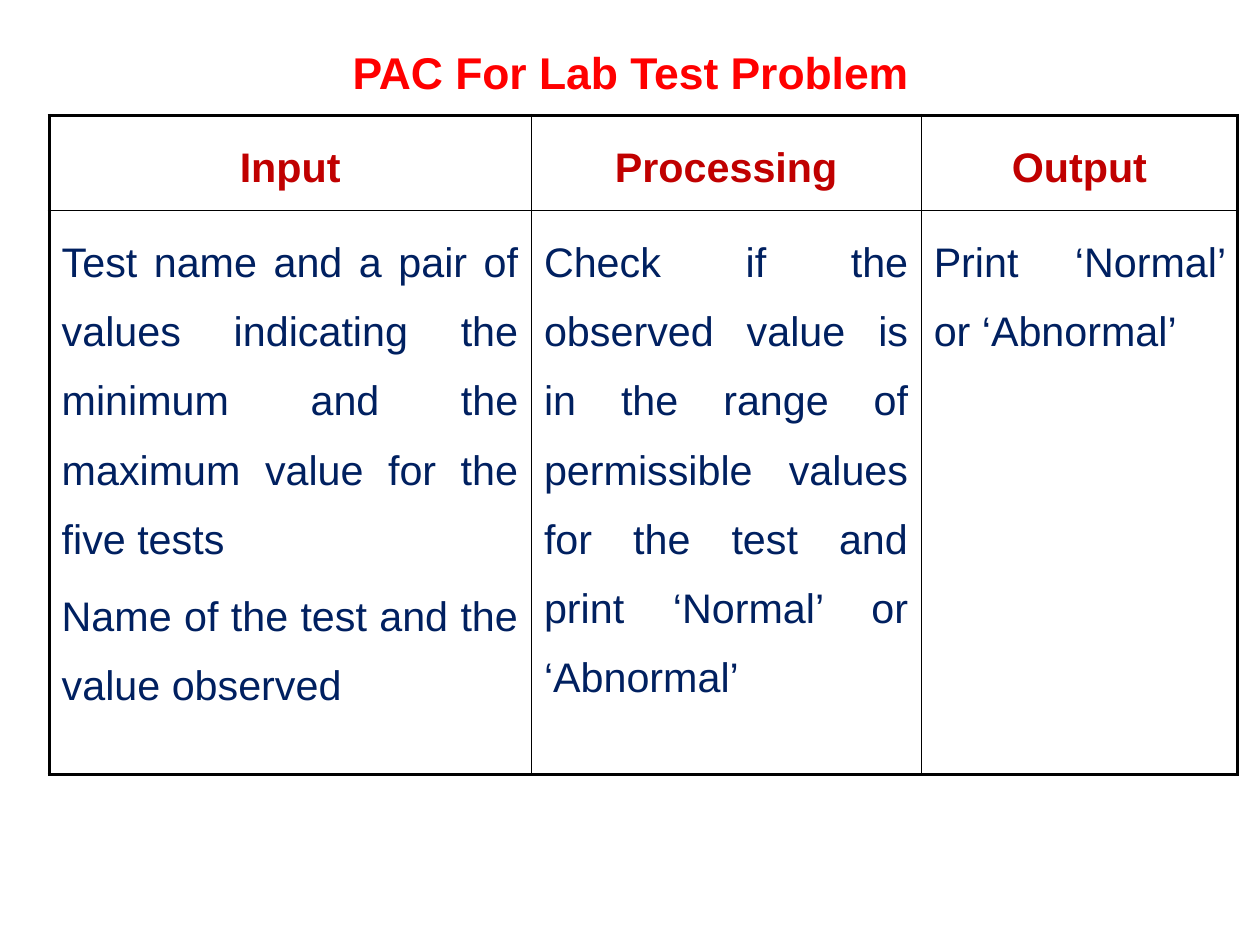
from lxml.etree import SubElement
from pptx import Presentation
from pptx.dml.color import RGBColor
from pptx.enum.text import MSO_ANCHOR as Anchor, MSO_AUTO_SIZE as AutoSize, PP_ALIGN as Align
from pptx.oxml.ns import qn
from pptx.util import Cm, Inches, Pt

COLORS = {"title": "FF0000", "heading": "C00000", "body": "002060", "border": "000000"}
COLUMN_WIDTHS = [4.22, 3.41, 2.77]
ROW_HEIGHTS = [0.83, 4.94]
OUTER_BORDER, INNER_BORDER = 2.25, 1
PAC_ROWS = [
    [["Input"], ["Processing"], ["Output"]],
    [
        ["Test name and a pair of values indicating the minimum and the maximum value "
         "for the five tests",
         "Name of the test and the value observed"],
        ["Check if the observed value is in the range of permissible values for the test "
         "and print ‘Normal’ or ‘Abnormal’"],
        ["Print ‘Normal’ or ‘Abnormal’"],
    ],
]
CELL_FORMAT = {
    "margin_left": Inches(0.11), "margin_right": Inches(0.11),
    "margin_top": Inches(0.06), "margin_bottom": Inches(0.06),
    "vertical_anchor": Anchor.TOP,
}
TITLE_FRAME_FORMAT = {
    "margin_left": 0, "margin_right": 0, "margin_top": 0, "margin_bottom": 0,
    "vertical_anchor": Anchor.MIDDLE, "word_wrap": True, "auto_size": AutoSize.NONE,
}
CELL_SPACING = {"line_spacing": 1.5, "space_before": Pt(5.2)}


def apply_format(target, values):
    for attribute, value in values.items():
        setattr(target, attribute, value)


def write_paragraphs(frame, texts, color, size, bold, paragraph_format):
    for index, text in enumerate(texts):
        paragraph = frame.paragraphs[0] if index == 0 else frame.add_paragraph()
        apply_format(paragraph, paragraph_format)
        run = paragraph.add_run()
        run.text = text
        apply_format(run.font, {"name": "Arial", "size": Pt(size), "bold": bold})
        run.font.color.rgb = RGBColor.from_string(COLORS[color])


def set_borders(cell, widths):
    """Draw the cell's borders; widths maps each side tag to points."""
    properties = cell._tc.get_or_add_tcPr()
    for index, (side, width) in enumerate(widths.items()):
        line = properties.makeelement(qn(f"a:{side}"), {"w": str(int(Pt(width)))})
        fill = SubElement(line, qn("a:solidFill"))
        SubElement(fill, qn("a:srgbClr"), val=COLORS["border"])
        properties.insert(index, line)


def add_title(slide, text):
    title = slide.shapes.title
    apply_format(title, {"left": Inches(0.37), "top": Inches(0.18),
                         "width": Inches(10.29), "height": Inches(0.9)})
    apply_format(title.text_frame, TITLE_FRAME_FORMAT)
    write_paragraphs(title.text_frame, [text], "title", 28, True,
                     {"alignment": Align.CENTER})


def add_pac_table(slide):
    last_row, last_column = len(ROW_HEIGHTS) - 1, len(COLUMN_WIDTHS) - 1
    table = slide.shapes.add_table(
        len(ROW_HEIGHTS), len(COLUMN_WIDTHS), Inches(0.43), Inches(1.01),
        Inches(sum(COLUMN_WIDTHS)), Inches(sum(ROW_HEIGHTS))).table
    apply_format(table, {"first_row": False, "horz_banding": False})
    for column, width in zip(table.columns, COLUMN_WIDTHS):
        column.width = Inches(width)

    for r, height in enumerate(ROW_HEIGHTS):
        table.rows[r].height = Inches(height)
        is_heading = r == 0
        for c, texts in enumerate(PAC_ROWS[r]):
            cell = table.cell(r, c)
            apply_format(cell, CELL_FORMAT)
            cell.fill.background()
            write_paragraphs(
                cell.text_frame, texts, "heading" if is_heading else "body", 26, is_heading,
                {"alignment": Align.CENTER if is_heading else Align.JUSTIFY, **CELL_SPACING})
            # Heavy frame outside, thin lines inside
            on_edge = {"lnL": c == 0, "lnR": c == last_column,
                       "lnT": r == 0, "lnB": r == last_row}
            set_borders(cell, {side: OUTER_BORDER if outer else INNER_BORDER
                               for side, outer in on_edge.items()})


def main():
    presentation = Presentation()
    # Custom page size, without the template's 4:3 preset
    presentation.slide_width = Cm(28)
    presentation.slide_height = Cm(21)
    presentation.element.sldSz.attrib.pop("type", None)
    # Title Only layout
    slide = presentation.slides.add_slide(presentation.slide_layouts[5])
    add_title(slide, "PAC For Lab Test Problem")
    add_pac_table(slide)
    presentation.save("out.pptx")


main()
